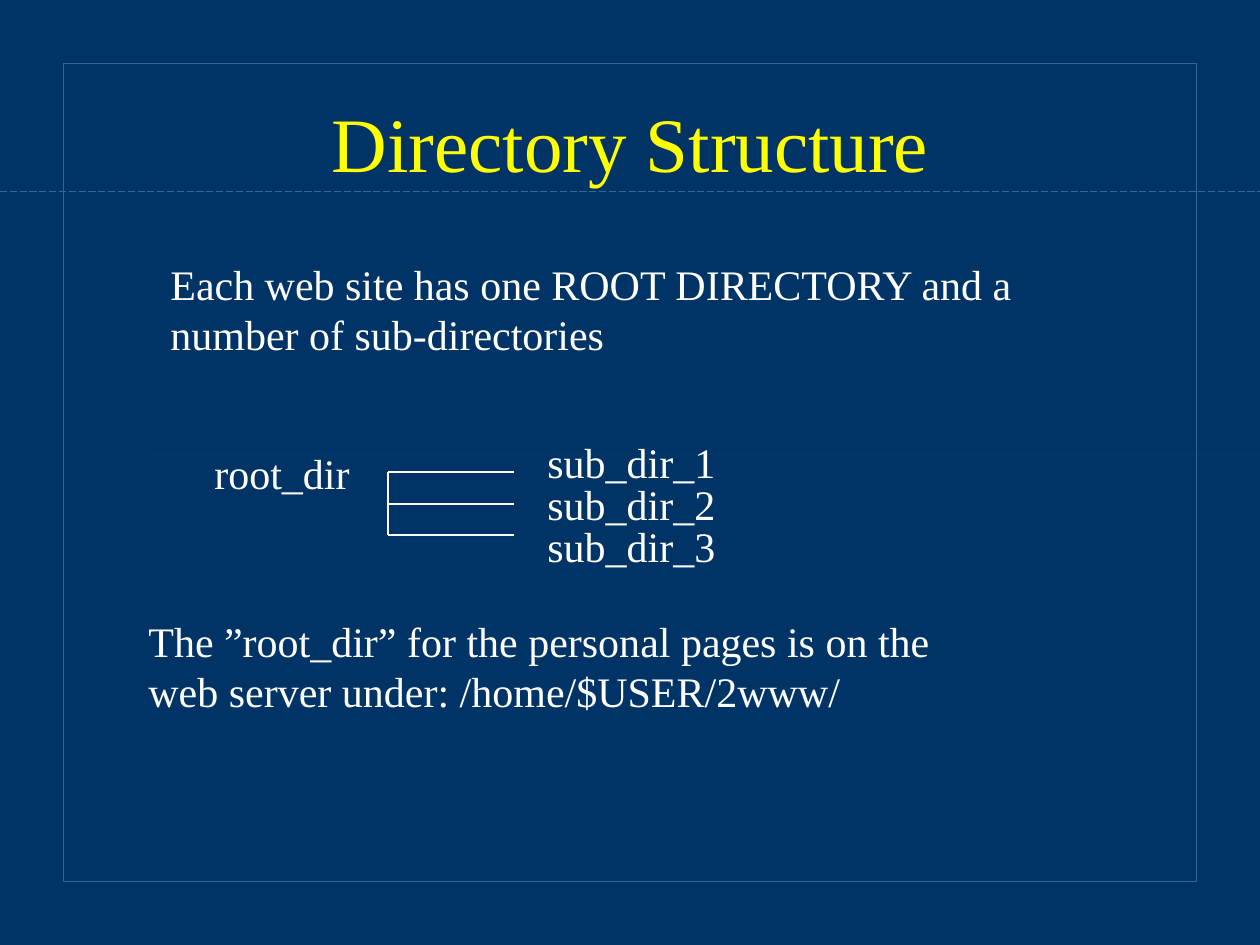
"""Build the Directory Structure slide."""
from lxml import etree
from pptx import Presentation
from pptx import util as u
from pptx.dml.color import RGBColor
from pptx.enum import dml, shapes, text
from pptx.oxml.ns import qn

HUE = {"back": "003366", "frame": "336699", "faint": "05396C",
       "title": "FFFF00", "body": "FFFFFF"}
PX = 914400 / 126


def put(label, x, y, w, h, size=24, hue="body"):
    box = slide.shapes.add_textbox(*[u.Emu(round(n * PX)) for n in (x, y, w, h)])
    frame = box.text_frame
    frame.word_wrap = True
    para = frame.paragraphs[0]
    para.text = label
    para.font.name = "Times New Roman"
    para.font.size = u.Pt(size)
    para.font.color.rgb = RGBColor.from_string(HUE[hue])
    return frame


def rule(x1, y1, x2, y2, hue="body", width=0.75):
    ends = [u.Emu(round(n * PX)) for n in (x1, y1, x2, y2)]
    link = slide.shapes.add_connector(shapes.MSO_CONNECTOR.STRAIGHT, *ends)
    link.line.color.rgb = RGBColor.from_string(HUE[hue])
    link.line.width = u.Pt(width)
    etree.SubElement(link._element.spPr, qn("a:effectLst"))
    return link


deck = Presentation()
deck.slide_width = u.Inches(10)
deck.slide_height = u.Inches(7.5)
slide = deck.slides.add_slide(deck.slide_layouts[6])
slide.background.fill.solid()
slide.background.fill.fore_color.rgb = RGBColor.from_string(HUE["back"])

rule(149, 454, 1260, 454, "faint", 0.25)
edge = slide.shapes.add_shape(
    shapes.MSO_SHAPE.RECTANGLE,
    *[u.Emu(round(n * PX)) for n in (63, 63, 1134, 819)])
edge.shadow.inherit = False
edge.fill.background()
edge.line.color.rgb = RGBColor.from_string(HUE["frame"])
edge.line.width = u.Pt(0.5)
dash = rule(0, 191, 1260, 191, "frame", 0.5)
dash.line.dash_style = dml.MSO_LINE.LONG_DASH

title = put("Directory Structure", 95, 63, 1071, 158, 44, "title")
title.vertical_anchor = text.MSO_ANCHOR.MIDDLE
title.paragraphs[0].alignment = text.PP_ALIGN.CENTER

put("Each web site has one ROOT DIRECTORY and a number of sub-directories",
    158, 252, 976, 113)

put("root_dir", 202, 441, 176, 63)
rule(388, 472, 388, 535)
for i, y in enumerate((472, 504, 535)):
    rule(388, y, 514, y)
    put(f"sub_dir_{i + 1}", 535, 430 + i * 42, 214, 63)

put("The ”root_dir” for the personal pages is on the web server under: "
    "/home/$USER/2www/", 136, 609, 882, 113)

deck.save("out.pptx")
